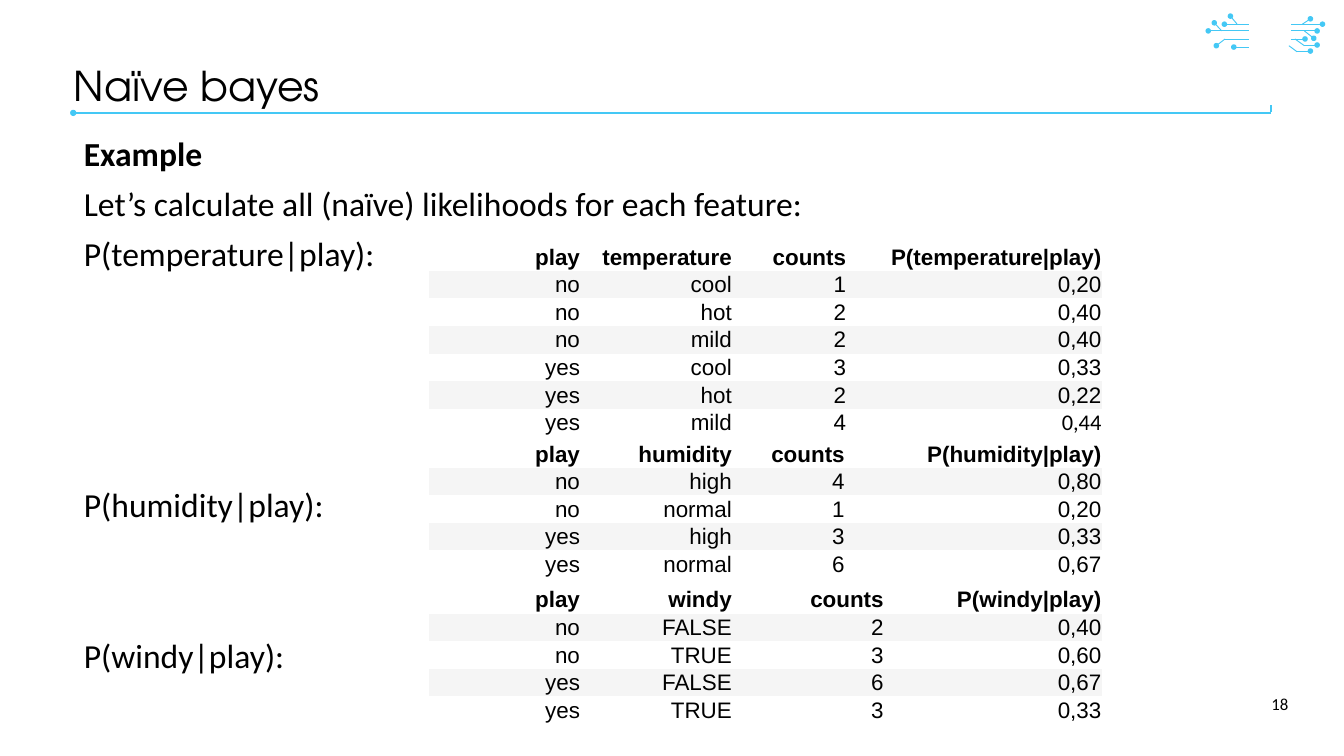
from dataclasses import dataclass

from lxml import etree
from pptx import Presentation
from pptx.dml.color import RGBColor
from pptx.enum import shapes, text
from pptx.oxml import ns
from pptx.util import Pt

SCALE = 9144
BLUE, BLACK, WHITE, GREY = "44C8F5", "000000", "FFFFFF", "F5F5F5"
PLAIN = "{2D5ABB26-0587-4C30-8999-92F81FD0307C}"


@dataclass
class Wire:
    x1: int
    y1: int
    x2: int
    y2: int
    head: bool = False
    tail: bool = True
    width: float = 1


@dataclass
class Grid:
    top: int
    cols: list[int]
    name: str
    rows: list[str]


@dataclass
class Line:
    words: str
    gap: int
    bold: bool = False


WIRES = [
    Wire(1858, 36, 1822, 36),
    Wire(1858, 46, 1798, 46),
    Wire(1858, 58, 1822, 58, tail=False),
    Wire(1823, 58, 1810, 68),
    Wire(1858, 70, 1836, 70),
    Wire(1841, 36, 1831, 24),
    Wire(1818, 46, 1807, 34),
    Wire(1921, 46, 1960, 46),
    Wire(1941, 68, 1927, 58, tail=False),
    Wire(1940, 67, 1960, 67),
    Wire(1921, 58, 1942, 58),
    Wire(1941, 46, 1955, 57),
    Wire(1921, 36, 1968, 36),
    Wire(1930, 77, 1918, 68, tail=False),
    Wire(1930, 76, 1950, 76),
    Wire(1938, 36, 1950, 28),
]
RULES = [
    Wire(109, 168, 1891, 168, head=True, tail=False, width=2.25),
    Wire(1891, 167, 1891, 157, tail=False, width=2.25),
]
LINES = [
    Line("Example", 0, True),
    Line("Let’s calculate all (naïve) likelihoods for each feature:", 15),
    Line("P(temperature|play):", 15),
    Line("P(humidity|play):", 230),
    Line("P(windy|play):", 123),
]
GRIDS = [
    Grid(362, [226, 226, 170, 380], "temperature", [
        "no cool 1 0,20", "no hot 2 0,40", "no mild 2 0,40",
        "yes cool 3 0,33", "yes hot 2 0,22", "yes mild 4 0,44"]),
    Grid(655, [226, 226, 168, 382], "humidity", [
        "no high 4 0,80", "no normal 1 0,20",
        "yes high 3 0,33", "yes normal 6 0,67"]),
    Grid(872, [226, 226, 226, 324], "windy", [
        "no FALSE 2 0,40", "no TRUE 3 0,60",
        "yes FALSE 6 0,67", "yes TRUE 3 0,33"]),
]


def px(n: int) -> int:
    return n * SCALE


def tint(code: str) -> RGBColor:
    return RGBColor.from_string(code)


def style(para, size: int, face: str = "Calibri", bold: bool = False) -> None:
    for run in para.runs:
        run.font.size = Pt(size)
        run.font.name = face
        run.font.bold = bold
        run.font.color.rgb = tint(BLACK)


def draw_wire(home, wire: Wire) -> None:
    ends = map(px, (wire.x1, wire.y1, wire.x2, wire.y2))
    link = home.add_connector(shapes.MSO_CONNECTOR.STRAIGHT, *ends)
    link.line.color.rgb = tint(BLUE)
    link.line.width = Pt(wire.width)
    line = link.line._get_or_add_ln()
    for tag, shown in (("a:headEnd", wire.head), ("a:tailEnd", wire.tail)):
        if shown:
            etree.SubElement(line, ns.qn(tag), type="oval")
    etree.SubElement(link.element.spPr, ns.qn("a:effectLst"))


def draw_grid(slide, grid: Grid) -> None:
    head = f"play {grid.name} counts P({grid.name}|play)"
    rows = [row.split() for row in [head, *grid.rows]]
    frame = slide.shapes.add_table(
        len(rows), len(grid.cols), px(638), px(grid.top),
        px(sum(grid.cols)), px(38 * len(rows)))
    frame.element.xpath(".//a:tableStyleId")[0].text = PLAIN
    table = frame.table
    table.horz_banding = False
    for col, width in zip(table.columns, grid.cols):
        col.width = px(width)
    for r, row in enumerate(rows):
        for c, words in enumerate(row):
            cell = table.cell(r, c)
            cell.margin_left = cell.margin_right = cell.margin_top = px(1)
            cell.margin_bottom = 0
            cell.vertical_anchor = text.MSO_ANCHOR.MIDDLE
            cell.fill.solid()
            cell.fill.fore_color.rgb = tint(GREY if r % 2 else WHITE)
            cell.text_frame.text = words
            para = cell.text_frame.paragraphs[0]
            para.alignment = text.PP_ALIGN.RIGHT
            style(para, 24, "Arial", r == 0)
    if grid.name == "temperature":
        last = table.cell(len(rows) - 1, 3)
        last.fill.background()
        last.vertical_anchor = text.MSO_ANCHOR.BOTTOM
        style(last.text_frame.paragraphs[0], 24)


def draw_title(slide) -> None:
    title = slide.shapes.title
    title.left, title.top, title.width, title.height = map(px, (109, 97, 1639, 69))
    frame = title.text_frame
    frame.text = "Naïve bayes"
    frame.auto_size = text.MSO_AUTO_SIZE.NONE
    frame.vertical_anchor = text.MSO_ANCHOR.MIDDLE
    frame.margin_left = frame.margin_right = 0
    frame.margin_top = frame.margin_bottom = 0
    para = frame.paragraphs[0]
    para.alignment = text.PP_ALIGN.LEFT
    para.line_spacing = 0.9
    style(para, 44, "TeX Gyre Adventor")


def draw_body(slide) -> None:
    frame = slide.shapes.add_textbox(*map(px, (115, 199, 1813, 668))).text_frame
    frame.word_wrap = True
    frame.text = "\n".join(line.words for line in LINES)
    for para, line in zip(frame.paragraphs, LINES):
        para.line_spacing = 0.9
        if line.gap:
            para.space_before = Pt(line.gap)
        style(para, 36, bold=line.bold)


def draw_page(slide) -> None:
    frame = slide.shapes.add_textbox(*map(px, (1818, 1018, 109, 60))).text_frame
    frame.word_wrap = True
    frame.vertical_anchor = text.MSO_ANCHOR.MIDDLE
    frame.text = "18"
    frame.paragraphs[0].alignment = text.PP_ALIGN.RIGHT
    style(frame.paragraphs[0], 18)


def main() -> None:
    deck = Presentation()
    deck.slide_width, deck.slide_height = px(2000), px(1125)
    slide = deck.slides.add_slide(deck.slide_layouts[5])
    group = slide.shapes.add_group_shape()
    for wire in WIRES:
        draw_wire(group.shapes, wire)
    for rule in RULES:
        draw_wire(slide.shapes, rule)
    draw_body(slide)
    draw_page(slide)
    draw_title(slide)
    for grid in GRIDS:
        draw_grid(slide, grid)
    deck.save("out.pptx")


if __name__ == "__main__":
    main()
